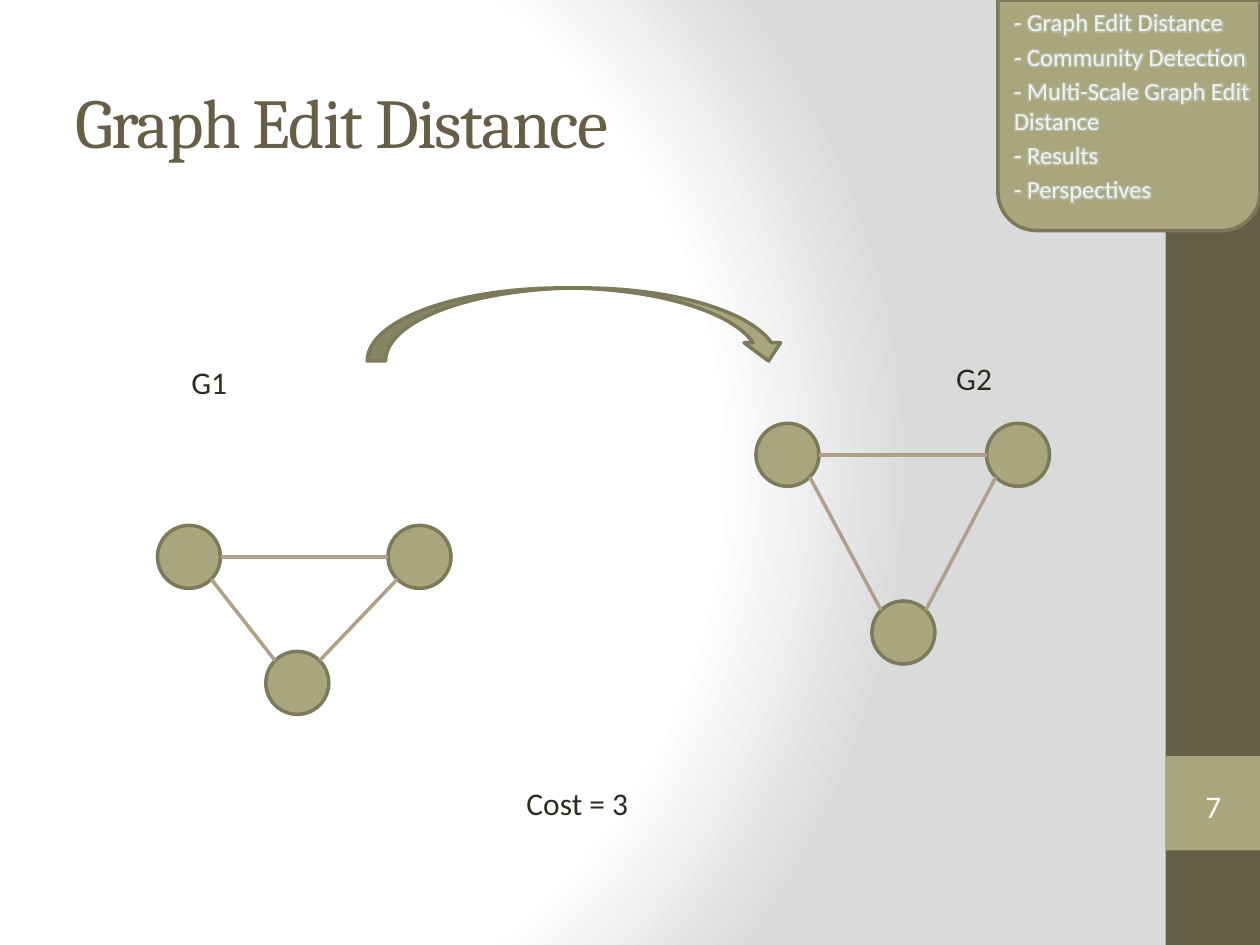
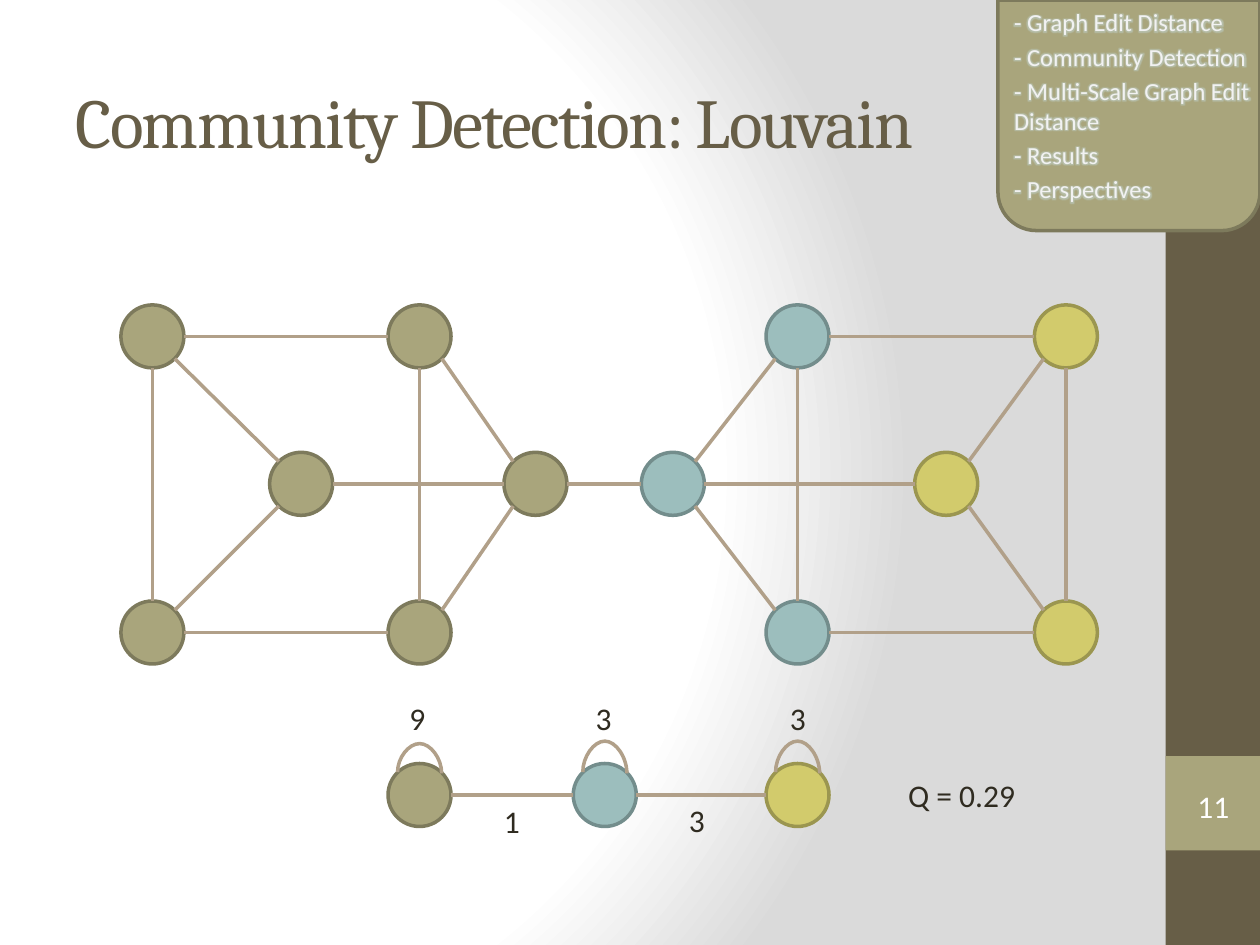
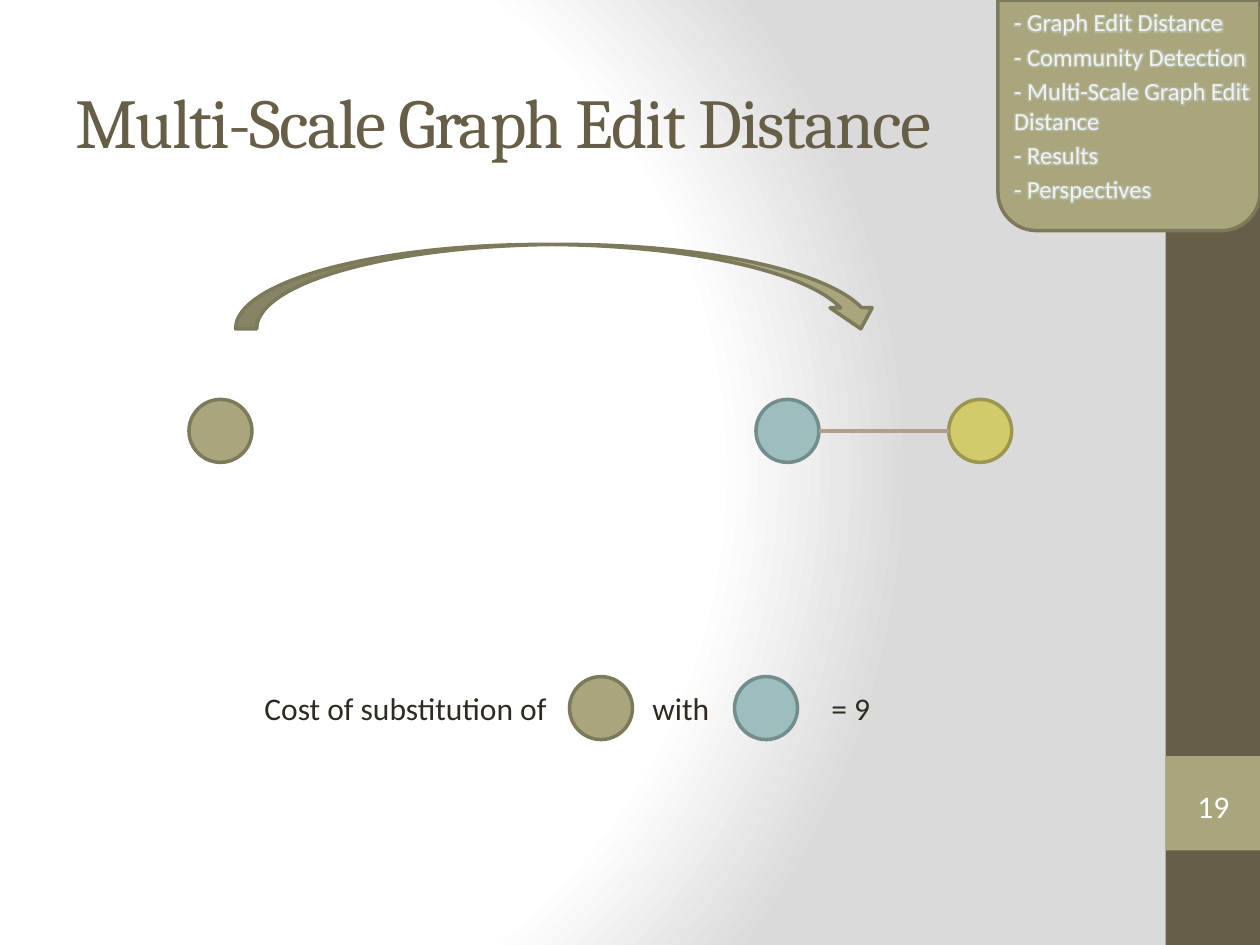
from dataclasses import dataclass
from math import atan2, cos, hypot, pi, sin

from pptx import Presentation
from pptx.dml.color import RGBColor
from pptx.enum.shapes import MSO_CONNECTOR, MSO_SHAPE
from pptx.enum.text import MSO_ANCHOR, MSO_AUTO_SIZE, PP_ALIGN
from pptx.oxml import parse_xml
from pptx.oxml.ns import nsdecls, qn
from pptx.util import Inches, Pt


# Theme
@dataclass(frozen=True)
class Theme:
    brown: str = "675E47"
    olive: str = "A9A57C"
    olive_line: str = "7D7A5C"
    edge: str = "B1A089"
    ink: str = "2F2B20"
    white: str = "FFFFFF"
    pale: str = "F2F2F2"
    grey: str = "DADADA"
    glow: str = "C4D8D7"
    line_width: float = 2


T = Theme()
# Node colours: fill and outline
NODE_COLORS = {
    "olive": (T.olive, T.olive_line),
    "teal": ("9CBEBD", "738D8C"),
    "yellow": ("D2CB6C", "9B9650"),
}
TITLE = ({"name": "Cambria", "size": Pt(40)}, T.brown)
BODY = ({"name": "Calibri", "size": Pt(18)}, T.ink)
NUMBER = ({"name": "Calibri", "size": Pt(18)}, T.white)
OUTLINE = ({"name": "Calibri", "size": Pt(14)}, T.pale)

# Content
SECTIONS = [
    "Graph Edit Distance",
    "Community Detection",
    "Multi-Scale Graph Edit Distance",
    "Results",
    "Perspectives",
]
NODE = 0.5
LABEL_HEIGHT = 0.4
LOOP_SPAN = 0.35
TOP, MID, LOW, SUMMARY = 2.42, 3.59, 4.77, 6.06

# nodes: name -> (left, top, colour); labels: (text, left, top, width)
# loops: (node, rise); arrow: unrotated (left, top, width, height)
SLIDES = [
    {
        "title": "Graph Edit Distance",
        "number": 7,
        "nodes": {
            "g1 left": (1.25, 4.17, "olive"),
            "g1 right": (3.08, 4.17, "olive"),
            "g1 low": (2.11, 5.17, "olive"),
            "g2 left": (6, 3.36, "olive"),
            "g2 right": (7.83, 3.36, "olive"),
            "g2 low": (6.92, LOW, "olive"),
        },
        "edges": [
            ("g1 left", "g1 right"), ("g1 left", "g1 low"), ("g1 right", "g1 low"),
            ("g2 left", "g2 right"), ("g2 left", "g2 low"), ("g2 right", "g2 low"),
        ],
        "arrow": (4.29, 0.91, 0.58, 3.33),
        "labels": [
            ("G1", 1.42, 2.83, 0.49),
            ("G2", 7.49, 2.8, 0.49),
            ("Cost = 3", 4.08, 6.17, 1.02),
        ],
    },
    {
        "title": "Community Detection: Louvain",
        "number": 11,
        "nodes": {
            "a top": (0.96, TOP, "olive"),
            "a mid": (2.14, MID, "olive"),
            "a low": (0.96, LOW, "olive"),
            "b top": (3.08, TOP, "olive"),
            "b mid": (4, MID, "olive"),
            "b low": (3.08, LOW, "olive"),
            "c top": (6.08, TOP, "teal"),
            "c mid": (5.09, MID, "teal"),
            "c low": (6.08, LOW, "teal"),
            "d top": (8.21, TOP, "yellow"),
            "d mid": (7.26, MID, "yellow"),
            "d low": (8.21, LOW, "yellow"),
            "sum olive": (3.08, SUMMARY, "olive"),
            "sum teal": (4.55, SUMMARY, "teal"),
            "sum yellow": (6.08, SUMMARY, "yellow"),
        },
        "edges": [
            (f"{group} {start}", f"{group} {end}")
            for group in "abcd"
            for start, end in (("top", "mid"), ("mid", "low"), ("top", "low"))
        ] + [
            (f"{left} {row}", f"{right} {row}")
            for left, right in ("ab", "cd")
            for row in ("top", "mid", "low")
        ] + [
            ("b mid", "c mid"),
            ("sum olive", "sum teal"),
            ("sum teal", "sum yellow"),
        ],
        "loops": [("sum olive", 0.24), ("sum teal", 0.26), ("sum yellow", 0.26)],
        "labels": [
            ("1", 3.9, 6.32, 0.33),
            ("3", 5.37, 6.31, 0.33),
            ("9", 3.15, 5.5, 0.33),
            ("3", 4.63, 5.5, 0.33),
            ("3", 6.17, 5.5, 0.33),
            ("Q = 0.29", 7.11, 6.11, 1.06),
        ],
    },
    {
        "title": "Multi-Scale Graph Edit Distance",
        "number": 19,
        "nodes": {
            "source": (1.5, 3.17, "olive"),
            "target": (6, 3.17, "teal"),
            "neighbour": (7.53, 3.17, "yellow"),
            "replaced": (4.52, 5.37, "olive"),
            "substitute": (5.83, 5.37, "teal"),
        },
        "edges": [("target", "neighbour")],
        "arrow": (4.1, -0.29, 0.67, 5.13),
        "labels": [
            ("Cost of substitution of", 2, 5.42, 2.52),
            ("with", 5.08, 5.42, 0.66),
            ("= 9", 6.5, 5.42, 0.51),
        ],
    },
]


# Helpers
def rgb(color):
    return RGBColor.from_string(color)


def inches(*values):
    return [Inches(v) for v in values]


def write(p, text, style):
    r = p.add_run()
    r.text = text
    values, color = style
    for name, value in values.items():
        setattr(r.font, name, value)
    r.font.color.rgb = rgb(color)
    return r


def add_shape(s, kind, box, fill=None, line=None):
    sp = s.shapes.add_shape(kind, *inches(*box))
    sp.shadow.inherit = False
    if fill:
        sp.fill.solid()
        sp.fill.fore_color.rgb = rgb(fill)
    else:
        sp.fill.background()
    if line:
        sp.line.color.rgb = rgb(line)
        sp.line.width = Pt(T.line_width)
    else:
        sp.line.fill.background()
    return sp


def add_link(s, kind, begin, end):
    c = s.shapes.add_connector(kind, *inches(*begin, *end))
    c.line.color.rgb = rgb(T.edge)
    c.line.width = Pt(T.line_width)
    c._element.spPr.append(parse_xml(f"<a:effectLst {nsdecls('a')}/>"))
    return c


def glue(c, begin, begin_site, end, end_site):
    # Circles have eight sites, beyond the four that begin_connect knows
    c._connect_begin_to(begin, begin_site)
    c._connect_end_to(end, end_site)


# Shared layout: background and side band
def set_background(layout):
    stops = "".join(
        f'<a:gs pos="{pos}"><a:srgbClr val="{color}"/></a:gs>'
        for pos, color in ((0, T.white), (75000, T.white), (100000, T.grey))
    )
    layout._element.cSld.insert(0, parse_xml(
        f"<p:bg {nsdecls('p', 'a')}><p:bgPr>"
        f'<a:gradFill rotWithShape="1"><a:gsLst>{stops}</a:gsLst>'
        '<a:path path="circle">'
        '<a:fillToRect l="20000" t="50000" r="100000" b="50000"/></a:path>'
        "</a:gradFill><a:effectLst/></p:bgPr></p:bg>"
    ))


def add_bands(s, layout):
    for top, height, fill in ((0, 7.5, T.brown), (6, 0.75, T.olive)):
        sp = add_shape(s, MSO_SHAPE.RECTANGLE, (9.25, top, 0.75, height), fill)
        layout.shapes._spTree.append(sp._element)


# Parts of every slide
def add_title(s, text):
    title = s.shapes.title
    title.left, title.top, title.width, title.height = inches(0.5, 0.33, 7.25, 1.25)
    tf = title.text_frame
    tf.vertical_anchor = MSO_ANCHOR.MIDDLE
    tf.auto_size = MSO_AUTO_SIZE.NONE
    p = tf.paragraphs[0]
    p.alignment = PP_ALIGN.LEFT
    write(p, text, TITLE)._r.get_or_add_rPr().set("spc", "-100")


def add_number(s, number):
    sp = add_shape(s, MSO_SHAPE.DOUBLE_BRACKET, (9.33, 6.18, 0.6, 0.43))
    tf = sp.text_frame
    tf.margin_left = tf.margin_right = tf.margin_top = tf.margin_bottom = 0
    tf.vertical_anchor = MSO_ANCHOR.MIDDLE
    p = tf.paragraphs[0]
    p.alignment = PP_ALIGN.CENTER
    write(p, str(number), NUMBER)


def add_outline(s):
    tab = add_shape(s, MSO_SHAPE.ROUND_2_SAME_RECTANGLE, (7.92, 0, 2.08, 1.83),
                    T.olive, T.olive_line)
    tab.rotation = 180
    tf = s.shapes.add_textbox(*inches(7.83, 0.01, 2.25, 1.82)).text_frame
    tf.word_wrap = True
    for i, section in enumerate(SECTIONS):
        p = tf.add_paragraph() if i else tf.paragraphs[0]
        p.space_before = Pt(2.8 if i else 0)
        p._p.get_or_add_pPr().set("marL", str(Inches(0.12)))
        r = write(p, f"- {section}", OUTLINE)
        r._r.rPr.find(qn("a:solidFill")).addnext(parse_xml(
            f'<a:effectLst {nsdecls("a")}><a:glow rad="63500">'
            f'<a:srgbClr val="{T.glow}"><a:alpha val="50000"/></a:srgbClr>'
            "</a:glow></a:effectLst>"
        ))


# Graph parts
def add_edge(s, nodes, shapes, start, end):
    (x1, y1), (x2, y2) = [
        (nodes[n][0] + NODE / 2, nodes[n][1] + NODE / 2) for n in (start, end)
    ]
    # Snap the direction to the nearest of the eight sites on the circle
    octant = round(atan2(y2 - y1, x2 - x1) / (pi / 4))
    dx = NODE / 2 * cos(octant * pi / 4)
    dy = NODE / 2 * sin(octant * pi / 4)
    c = add_link(s, MSO_CONNECTOR.STRAIGHT, (x1 + dx, y1 + dy), (x2 - dx, y2 - dy))
    glue(c, shapes[start], (6 - octant) % 8, shapes[end], (2 - octant) % 8)


def add_loop(s, nodes, shapes, name, rise):
    left, top, _ = nodes[name]
    thin = 0.01
    x = left + NODE / 2 - thin / 2
    y = top + NODE / 2 * (1 - sin(pi / 4)) - LOOP_SPAN / 2
    c = add_link(s, MSO_CONNECTOR.CURVE, (x, y), (x + thin, y + LOOP_SPAN))
    xfrm = c._element.spPr.find(qn("a:xfrm"))
    xfrm.set("rot", "16200000")
    xfrm.set("flipV", "1")
    geom = c._element.spPr.find(qn("a:prstGeom"))
    geom.find(qn("a:avLst")).append(parse_xml(
        f'<a:gd {nsdecls("a")} name="adj1" fmla="val {round(rise / thin * 100000)}"/>'
    ))
    glue(c, shapes[name], 7, shapes[name], 1)


def add_label(s, text, left, top, width):
    box = s.shapes.add_textbox(*inches(left, top, width, LABEL_HEIGHT))
    tf = box.text_frame
    tf.word_wrap = False
    tf.auto_size = MSO_AUTO_SIZE.SHAPE_TO_FIT_TEXT
    write(tf.paragraphs[0], text, BODY)


def add_graph(s, data):
    nodes = data["nodes"]
    shapes = {
        name: add_shape(s, MSO_SHAPE.FLOWCHART_CONNECTOR, (left, top, NODE, NODE),
                        *NODE_COLORS[color])
        for name, (left, top, color) in nodes.items()
    }
    for start, end in data["edges"]:
        add_edge(s, nodes, shapes, start, end)
    for name, rise in data.get("loops", []):
        add_loop(s, nodes, shapes, name, rise)
    if "arrow" in data:
        arrow = add_shape(s, MSO_SHAPE.CURVED_LEFT_ARROW, data["arrow"],
                          T.olive, T.olive_line)
        arrow.rotation = 270
    for label in data["labels"]:
        add_label(s, *label)


def main():
    prs = Presentation()
    prs.slide_width, prs.slide_height = inches(10, 7.5)
    layout = prs.slide_layouts[5]
    set_background(layout)
    for i, data in enumerate(SLIDES):
        s = prs.slides.add_slide(layout)
        if i == 0:
            add_bands(s, layout)
        add_title(s, data["title"])
        add_number(s, data["number"])
        add_outline(s)
        add_graph(s, data)
    prs.save("out.pptx")


if __name__ == "__main__":
    main()
